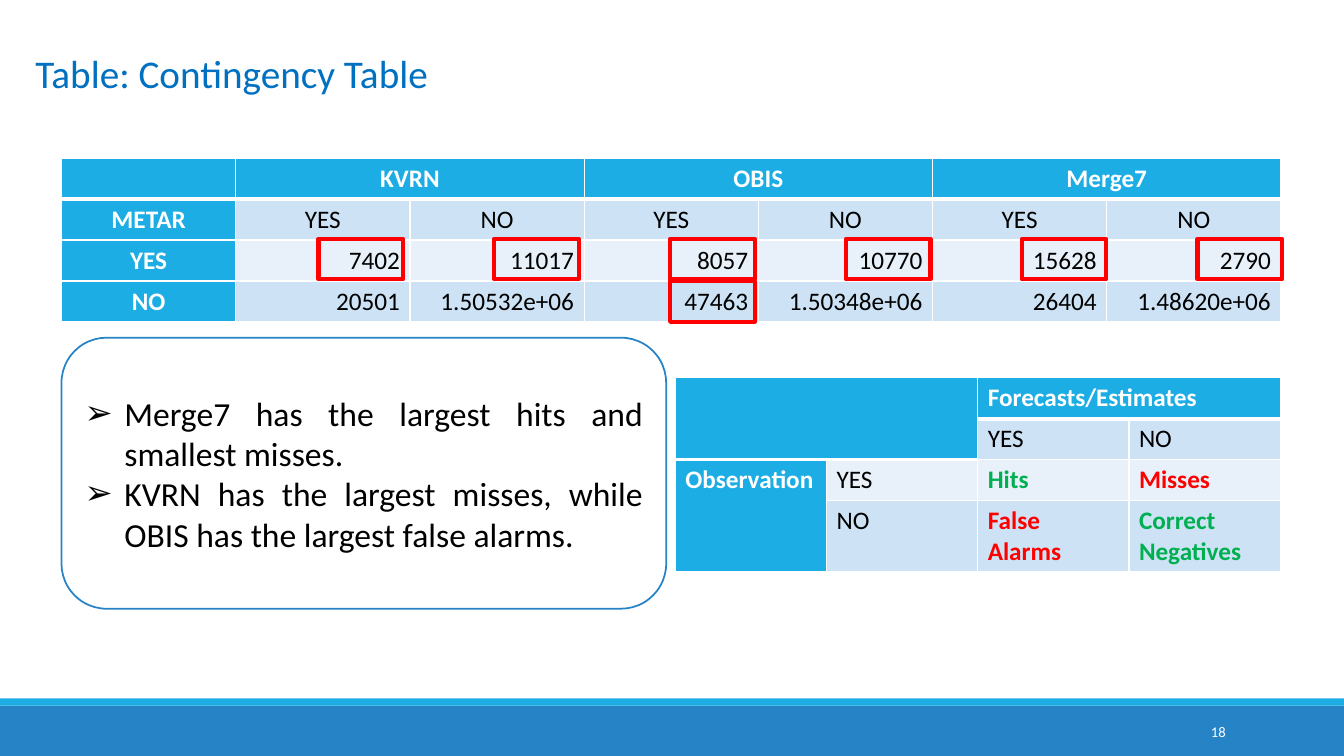
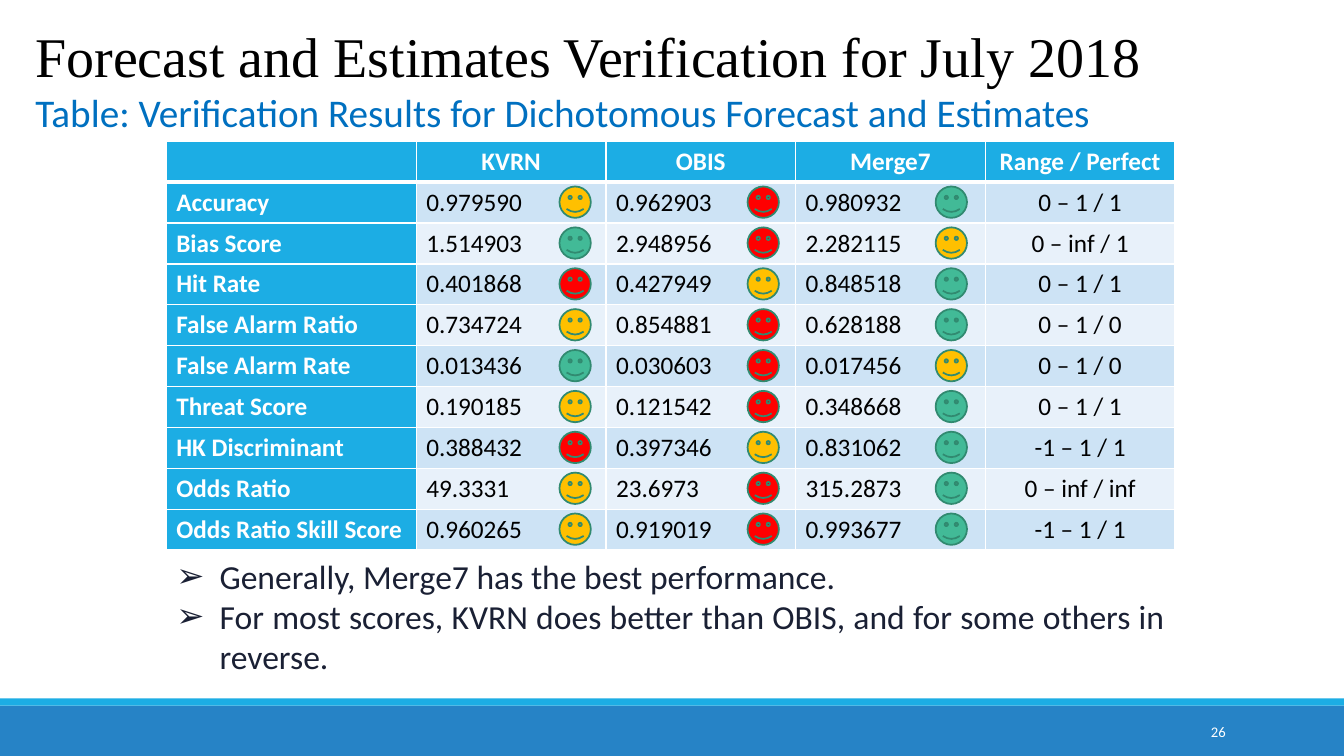
from collections.abc import Callable
from dataclasses import dataclass
from typing import NamedTuple

from lxml.etree import SubElement
from pptx import Presentation
from pptx.dml.color import RGBColor
from pptx.enum.shapes import MSO_SHAPE as Form
from pptx.enum.text import MSO_ANCHOR as Anchor, MSO_AUTO_SIZE as Fit, PP_ALIGN as Align
from pptx.oxml.ns import qn
from pptx.util import Cm, Pt


# Theme
@dataclass(frozen=True)
class Theme:
    blue: str = "2683C6"
    sky: str = "1CADE4"
    link: str = "0070C0"
    odd: str = "CDE3F5"
    even: str = "E8F1FA"
    white: str = "FFFFFF"
    black: str = "000000"
    navy: str = "1A2034"
    red: str = "FF0000"
    green: str = "00B050"
    mint: str = "42BA97"
    amber: str = "FFC000"
    teal: str = "318A70"
    sans: str = "Calibri"
    serif: str = "Times New Roman"
    head: float = 40
    title: float = 28
    list: float = 24
    cell: float = 18
    foot: float = 10.5


T = Theme()


class Box(NamedTuple):
    """Left, top, width and height in centimetres."""
    x: float
    y: float
    w: float
    h: float


@dataclass(frozen=True)
class Run:
    text: str
    size: float
    color: str
    bold: bool = False
    font: str = T.sans


class Span(NamedTuple):
    top: int
    left: int
    bottom: int
    right: int


@dataclass(frozen=True)
class Grid:
    x: float
    y: float
    cols: list[float]
    rows: list[float]
    cells: list[list[str]]
    align: Callable[[int, int], Align]
    spans: tuple[Span, ...] = ()


# Text and shapes
def add_run(par, run: Run) -> None:
    item = par.add_run()
    item.text = run.text
    font = item.font
    font.name, font.size, font.bold = run.font, Pt(run.size), run.bold
    font.color.rgb = RGBColor.from_string(run.color)


def place(shape, box: Box) -> None:
    shape.left, shape.top, shape.width, shape.height = map(Cm, box)


def add_form(slide, form: Form, box: Box, fill: str = "", line: str = "", width: float = 1.25):
    shape = slide.shapes.add_shape(form, *map(Cm, box))
    shape.shadow.inherit = False
    if fill:
        shape.fill.solid()
        shape.fill.fore_color.rgb = RGBColor.from_string(fill)
    else:
        shape.fill.background()
    if line:
        shape.line.color.rgb = RGBColor.from_string(line)
        shape.line.width = Pt(width)
    else:
        shape.line.fill.background()
    return shape


def add_lines(shape, runs: list[Run], anchor: Anchor, align: Align) -> list:
    frame = shape.text_frame
    frame.word_wrap = True
    frame.auto_size = Fit.NONE
    frame.vertical_anchor = anchor
    pars = []
    for i, run in enumerate(runs):
        par = frame.add_paragraph() if i else frame.paragraphs[0]
        par.alignment = align
        par.space_before = Pt(0)
        add_run(par, run)
        pars.append(par)
    return pars


def set_title(slide, top: float, height: float, runs: list[Run]) -> None:
    title = slide.shapes.title
    place(title, Box(0.64, top, 32.51, height))
    add_lines(title, runs, Anchor.TOP, Align.LEFT)


def set_list(slide, box: Box, items: list[str], color: str, indent: float, anchor: Anchor) -> None:
    body = slide.placeholders[1]
    place(body, box)
    runs = [Run(item, T.list, color) for item in items]
    for par in add_lines(body, runs, anchor, Align.JUSTIFY):
        props = par._p.get_or_add_pPr()
        props.set("marL", str(Cm(indent)))
        props.set("indent", str(-Cm(indent)))
        SubElement(props, qn("a:buChar")).set("char", "➢")


# Tables
MARKS = {
    "Hits": T.green,
    "Correct Negatives": T.green,
    "Misses": T.red,
    "False Alarms": T.red,
}


def add_rule(cell) -> None:
    """Draw the thick white line under a header cell."""
    props = cell._tc.get_or_add_tcPr()
    rule = SubElement(props, qn("a:lnB"))
    rule.set("w", str(Pt(3)))
    SubElement(SubElement(rule, qn("a:solidFill")), qn("a:srgbClr")).set("val", T.white)
    props.insert(0, rule)


def add_grid(slide, grid: Grid) -> None:
    size = Box(grid.x, grid.y, sum(grid.cols), sum(grid.rows))
    table = slide.shapes.add_table(len(grid.rows), len(grid.cols), *map(Cm, size)).table
    table.first_col = True
    for col, width in zip(table.columns, grid.cols):
        col.width = Cm(width)
    for row, height in zip(table.rows, grid.rows):
        row.height = Cm(height)
    for r, texts in enumerate(grid.cells):
        for c, text in enumerate(texts):
            cell = table.cell(r, c)
            head = r == 0 or c == 0
            fill = T.sky if head else T.odd if r % 2 else T.even
            cell.fill.solid()
            cell.fill.fore_color.rgb = RGBColor.from_string(fill)
            if r == 0:
                add_rule(cell)
            if text:
                par = cell.text_frame.paragraphs[0]
                par.alignment = grid.align(r, c)
                color = T.white if head else MARKS.get(text, T.black)
                add_run(par, Run(text, T.cell, color, head or text in MARKS))
    for span in grid.spans:
        table.cell(span.top, span.left).merge(table.cell(span.bottom, span.right))


# Shared frame of every slide
def add_bands(slide) -> None:
    """Draw the bands and hand them to the layout."""
    tree = slide.slide_layout.shapes.element
    bands = ((Box(0, 17.78, 33.87, 1.27), T.blue), (Box(0, 17.6, 33.87, 0.18), T.sky))
    for i, (box, fill) in enumerate(bands):
        band = add_form(slide, Form.RECTANGLE, box, fill)
        band.element.nvSpPr.cNvPr.set("id", str(100 + i))
        tree.append(band.element)


def add_slide(deck, number: str):
    slide = deck.slides.add_slide(deck.slide_layouts[1])
    if len(deck.slides) == 1:
        add_bands(slide)
    note = slide.shapes.add_textbox(*map(Cm, Box(27.51, 17.93, 3.63, 1.02)))
    add_lines(note, [Run(number, T.foot, T.white)], Anchor.MIDDLE, Align.RIGHT)
    return slide


ROW = 1.03


# Slide: contingency table
def add_counts(deck) -> None:
    slide = add_slide(deck, "18")
    set_title(slide, 1.12, 1.45, [Run("Table: Contingency Table", T.title, T.link)])
    add_grid(slide, Grid(
        1.55, 3.99, [4.39] * 7, [ROW] * 4,
        [
            ["", "KVRN", "", "OBIS", "", "Merge7", ""],
            ["METAR"] + ["YES", "NO"] * 3,
            ["YES", "7402", "11017", "8057", "10770", "15628", "2790"],
            ["NO", "20501", "1.50532e+06", "47463", "1.50348e+06", "26404", "1.48620e+06"],
        ],
        lambda r, c: Align.CENTER if r < 2 or c == 0 else Align.RIGHT,
        tuple(Span(0, c, 0, c + 1) for c in (1, 3, 5)),
    ))

    # Framed list
    add_form(slide, Form.ROUNDED_RECTANGLE, Box(1.55, 8.51, 15.24, 6.83), line=T.blue)
    set_list(slide, Box(1.88, 8.84, 14.58, 6.17), [
        "Merge7 has the largest hits and smallest misses.",
        "KVRN has the largest misses, while OBIS has the largest false alarms.",
    ], T.black, 1, Anchor.MIDDLE)

    # Key to the counts
    add_grid(slide, Grid(
        17.02, 9.52, [3.81] * 4, [ROW] * 3 + [1.78],
        [
            ["", "", "Forecasts/Estimates", ""],
            ["", "", "YES", "NO"],
            ["Observation", "YES", "Hits", "Misses"],
            ["", "NO", "False Alarms", "Correct Negatives"],
        ],
        lambda r, c: Align.LEFT,
        (Span(0, 0, 1, 1), Span(0, 2, 0, 3), Span(2, 0, 3, 0)),
    ))

    # Red frames around key counts
    for col, row in [(c, 0) for c in range(6)] + [(2, 1)]:
        box = Box(8.03 + 4.43 * col, 6.02 + 1.07 * row, 2.13, 1.02)
        add_form(slide, Form.RECTANGLE, box, line=T.red, width=3)


# Slide: verification scores
class Score(NamedTuple):
    name: str
    model: str
    orbit: str
    merge: str
    span: str
    moods: str


SCORES = [
    Score("Accuracy", "0.979590", "0.962903", "0.980932", "0 – 1 / 1", "ARG"),
    Score("Bias Score", "1.514903", "2.948956", "2.282115", "0 – inf / 1", "GRA"),
    Score("Hit Rate", "0.401868", "0.427949", "0.848518", "0 – 1 / 1", "RAG"),
    Score("False Alarm Ratio", "0.734724", "0.854881", "0.628188", "0 – 1 / 0", "ARG"),
    Score("False Alarm Rate", "0.013436", "0.030603", "0.017456", "0 – 1 / 0", "GRA"),
    Score("Threat Score", "0.190185", "0.121542", "0.348668", "0 – 1 / 1", "ARG"),
    Score("HK Discriminant", "0.388432", "0.397346", "0.831062", "-1 – 1 / 1", "RAG"),
    Score("Odds Ratio", "49.3331", "23.6973", "315.2873", "0 – inf / inf", "ARG"),
    Score("Odds Ratio Skill Score", "0.960265", "0.919019", "0.993677", "-1 – 1 / 1", "ARG"),
]
MOODS = {"R": T.red, "A": T.amber, "G": T.mint}


def add_scores(deck) -> None:
    slide = add_slide(deck, "26")
    set_title(slide, 0.41, 3.18, [
        Run("Forecast and Estimates Verification for July 2018", T.head, T.black, font=T.serif),
        Run("Table: Verification Results for Dichotomous Forecast and Estimates", T.title, T.link),
    ])
    add_grid(slide, Grid(
        4.19, 3.56, [6.3] + [4.78] * 4, [ROW] * (len(SCORES) + 1),
        [["", "KVRN", "OBIS", "Merge7", "Range / Perfect"]] + [list(s[:5]) for s in SCORES],
        lambda r, c: Align.CENTER if r == 0 or c == 4 else Align.LEFT,
    ))
    set_list(slide, Box(4.19, 13.87, 25.42, 3.33), [
        "Generally, Merge7 has the best performance.",
        "For most scores, KVRN does better than OBIS, and for some others in reverse.",
    ], T.navy, 1.09, Anchor.TOP)

    # One face per score and source
    for row, score in enumerate(SCORES):
        for col, mood in enumerate(score.moods):
            box = Box(14.1 + 4.74 * col, 4.7 + ROW * row, 0.79, 0.79)
            add_form(slide, Form.SMILEY_FACE, box, MOODS[mood], T.teal)


def main() -> None:
    deck = Presentation()
    deck.slide_width, deck.slide_height = Cm(33.87), Cm(19.05)
    add_counts(deck)
    add_scores(deck)
    deck.save("out.pptx")


if __name__ == "__main__":
    main()
